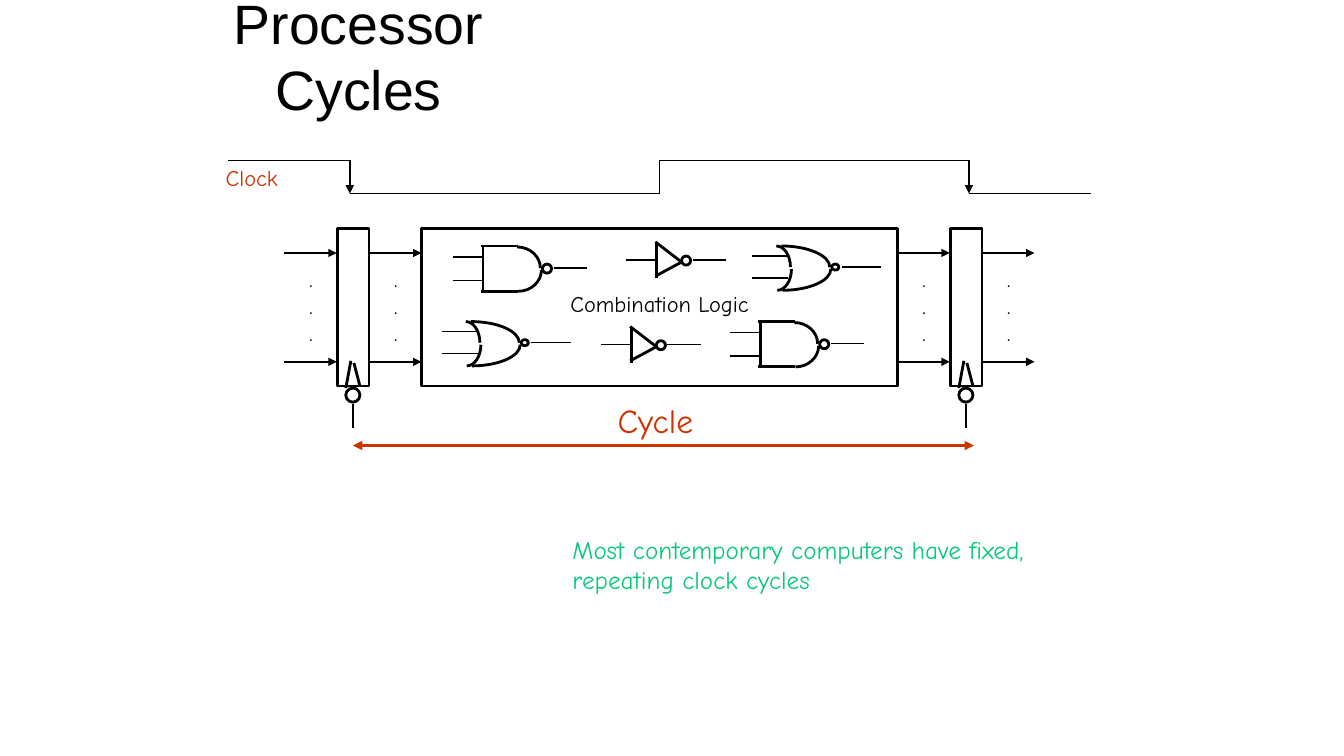
from itertools import pairwise

from lxml.etree import SubElement
from pptx import Presentation
from pptx.dml.color import RGBColor
from pptx.enum.shapes import MSO_CONNECTOR, MSO_SHAPE
from pptx.enum.text import MSO_ANCHOR, MSO_AUTO_SIZE, PP_ALIGN
from pptx.oxml.ns import qn
from pptx.util import Inches, Pt

BLACK = RGBColor(0x00, 0x00, 0x00)
RED = RGBColor(0xCC, 0x33, 0x00)
GREEN = RGBColor(0x09, 0xC7, 0x7A)
TITLE_FONT = "Arial"
BODY_FONT = "Comic Neue"
THIN, THICK = 1, 2
ROUNDNESS = 0.55  # control point distance for a quarter ellipse


def add_line(slide, start, end, width=THIN, color=BLACK, arrows=()):
    """Straight line; arrows may hold "headEnd" (start) and "tailEnd" (end)."""
    line = slide.shapes.add_connector(
        MSO_CONNECTOR.STRAIGHT, *map(Inches, (*start, *end)))
    line.line.color.rgb = color
    line.line.width = Pt(width)
    outline = line.line._get_or_add_ln()
    for arrow in arrows:
        SubElement(outline, qn(f"a:{arrow}"), type="triangle")
    SubElement(line._element.spPr, qn("a:effectLst"))


def outline_only(shape):
    shape.shadow.inherit = False
    shape.fill.background()
    shape.line.color.rgb = BLACK
    shape.line.width = Pt(THICK)


def add_outline(slide, preset, left, top, width, height):
    outline_only(slide.shapes.add_shape(
        preset, *map(Inches, (left, top, width, height))))


def add_quarter_curve(slide, x, y, width, height):
    """Quarter ellipse around (x, y); a negative height runs it upwards."""
    start, *bends = [
        (Inches(x + width * across), Inches(y + height * along))
        for across, along in ((1, 0), (1, ROUNDNESS), (ROUNDNESS, 1), (0, 1))]
    builder = slide.shapes.build_freeform(*start)
    builder.add_line_segments(bends, close=False)
    curve = builder.convert_to_shape()
    # Turn the three segments into one Bézier curve
    segments = list(curve._element.iter(qn("a:lnTo")))
    bezier = SubElement(segments[0].getparent(), qn("a:cubicBezTo"))
    for segment in segments:
        bezier.append(segment[0])
        segment.getparent().remove(segment)
    outline_only(curve)


def add_bulge(slide, x, top, width):
    """Right-hand bulge of a gate, from its upper and lower curve."""
    add_quarter_curve(slide, x, top + 0.21, width, -0.21)
    add_quarter_curve(slide, x + 0.01, top + 0.23, width, 0.21)


def format_text(frame, size, color, font, align):
    for paragraph in frame.paragraphs:
        paragraph.alignment = align
        for run in paragraph.runs:
            run.font.size = Pt(size)
            run.font.name = font
            run.font.color.rgb = color


def add_label(slide, box, text, size=16, color=BLACK, wrap=False,
              align=PP_ALIGN.LEFT):
    frame = slide.shapes.add_textbox(*map(Inches, box)).text_frame
    frame.text = text
    frame.word_wrap = wrap
    frame.auto_size = MSO_AUTO_SIZE.SHAPE_TO_FIT_TEXT
    format_text(frame, size, color, BODY_FONT, align)


def add_title(slide, text):
    title = slide.shapes.title
    title.left, title.top = Inches(2.19), Inches(0.35)
    title.width, title.height = Inches(2.73), Inches(0.4)
    frame = title.text_frame
    frame.text = text
    frame.word_wrap = True
    frame.auto_size = MSO_AUTO_SIZE.NONE
    frame.vertical_anchor = MSO_ANCHOR.MIDDLE
    format_text(frame, 39.6, BLACK, TITLE_FONT, PP_ALIGN.CENTER)


def add_clock(slide):
    high, low = 1.59, 1.92
    corners = [(2.26, high), (3.47, high), (3.47, low), (6.54, low),
               (6.54, high), (9.61, high), (9.61, low), (10.82, low)]
    for start, end in pairwise(corners):
        falling = end[1] > start[1]
        add_line(slide, start, end, arrows=["tailEnd"] if falling else [])
    add_label(slide, (2.14, 1.58, 0.75, 0.37), "Clock", color=RED)


def add_signals(slide, x):
    """First and last signal arrow, with dots for those between."""
    for y in (2.51, 3.59):
        add_line(slide, (x, y), (x + 0.52, y), arrows=["tailEnd"])
    add_label(slide, (x + 0.15, 2.58, 0.26, 0.91), ".\n.\n.")


def add_register(slide, x):
    add_outline(slide, MSO_SHAPE.RECTANGLE, x, 2.27, 0.31, 1.56)
    # Clock input
    add_line(slide, (x + 0.15, 4.01), (x + 0.15, 4.25))
    add_line(slide, (x + 0.08, 3.85), (x + 0.13, 3.58), THICK)
    add_line(slide, (x + 0.16, 3.6), (x + 0.22, 3.83), THICK)
    add_outline(slide, MSO_SHAPE.OVAL, x + 0.08, 3.85, 0.14, 0.14)
    # Inputs and outputs
    add_signals(slide, x - 0.53)
    add_signals(slide, x + 0.31)


def add_wires(slide, x, y, inputs, input_end, output_start, output_end, output):
    for offset in inputs:
        add_line(slide, (x, y + offset), (x + input_end, y + offset))
    add_line(slide, (x + output_start, y + output), (x + output_end, y + output))


def add_nand(slide, x, y):
    add_wires(slide, x, y, (0.11, 0.34), 0.3, 1, 1.33, 0.22)
    for edge in (y, y + 0.45):
        add_line(slide, (x + 0.28, edge), (x + 0.65, edge), THICK)
    add_line(slide, (x + 0.3, y + 0.01), (x + 0.3, y + 0.44), THICK)
    add_bulge(slide, x + 0.64, y + 0.01, 0.23)
    add_outline(slide, MSO_SHAPE.OVAL, x + 0.89, y + 0.18, 0.09, 0.09)


def add_nor(slide, x, y):
    add_wires(slide, x, y, (0.1, 0.32), 0.36, 0.89, 1.28, 0.21)
    add_bulge(slide, x + 0.29, y, 0.48)
    add_bulge(slide, x + 0.24, y, 0.14)
    add_outline(slide, MSO_SHAPE.OVAL, x + 0.79, y + 0.18, 0.07, 0.06)


def add_inverter(slide, x, y):
    add_wires(slide, x, y, (0.18,), 0.31, 0.66, 0.99, 0.18)
    tip = (x + 0.55, y + 0.2)
    add_line(slide, tip, (x + 0.29, y), THICK)
    add_line(slide, tip, (x + 0.29, y + 0.34), THICK)
    add_line(slide, (x + 0.3, y + 0.36), (x + 0.3, y), THICK)
    add_outline(slide, MSO_SHAPE.OVAL, x + 0.55, y + 0.14, 0.09, 0.09)


def add_logic(slide):
    add_outline(slide, MSO_SHAPE.RECTANGLE, 4.18, 2.27, 4.72, 1.56)
    add_label(slide, (5.56, 2.83, 2.07, 0.37), "Combination Logic")
    upper, lower = 2.44, 3.19
    add_nand(slide, 4.49, upper)
    add_nor(slide, 4.38, lower)
    add_inverter(slide, 5.96, 3.24)
    add_inverter(slide, 6.21, 2.4)
    add_nor(slide, 7.46, upper)
    add_nand(slide, 7.24, lower)


def main():
    deck = Presentation()
    deck.slide_width, deck.slide_height = Inches(13.33), Inches(7.5)
    slide = deck.slides.add_slide(deck.slide_layouts[5])
    add_title(slide, "Processor Cycles")

    # Circuit
    add_clock(slide)
    for register_left in (3.35, 9.43):
        add_register(slide, register_left)
    add_logic(slide)

    # Cycle span and remark
    add_line(slide, (3.5, 4.42), (9.66, 4.42), 2.25, RED,
             ["headEnd", "tailEnd"])
    add_label(slide, (3.5, 3.92, 6, 0.5), "Cycle", 24, RED, True,
              PP_ALIGN.CENTER)
    add_label(slide, (5.58, 5.25, 5.33, 0.7),
              "Most contemporary computers have fixed, repeating clock cycles",
              18, GREEN, True)
    deck.save("out.pptx")


if __name__ == "__main__":
    main()
